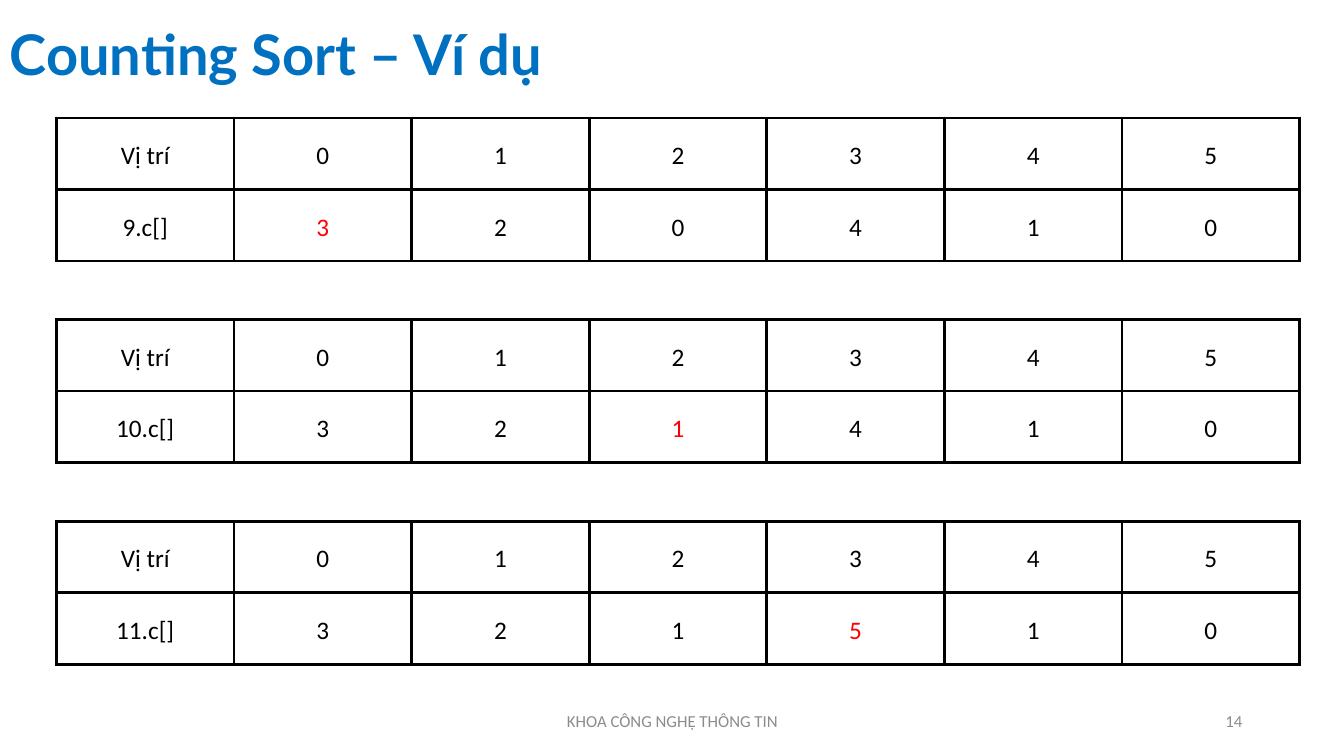
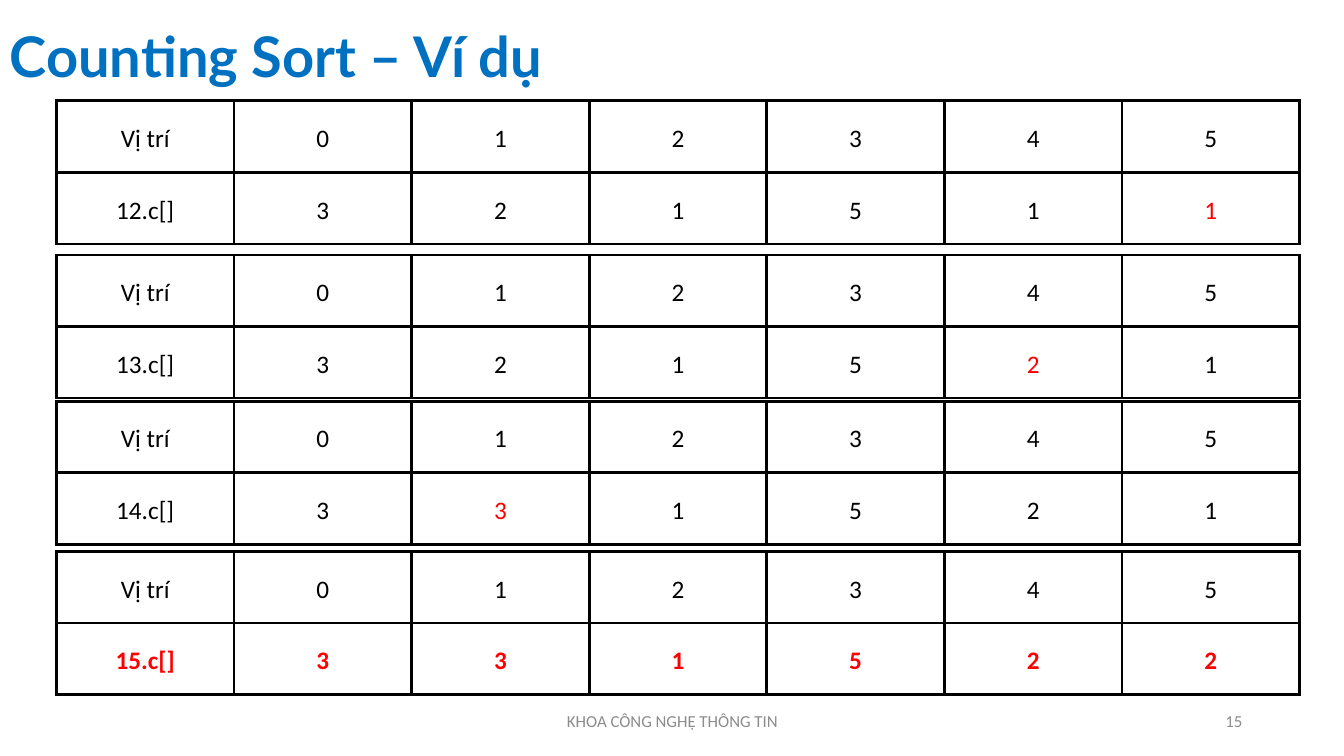
"""Build two slides of counting-sort tables."""
from lxml.etree import SubElement
from pptx import Presentation
from pptx.dml.color import RGBColor
from pptx.enum.text import MSO_ANCHOR as Anchor, PP_ALIGN as Align
from pptx.oxml.ns import qn
from pptx.util import Inches, Pt

TITLE = "Counting Sort – Ví dụ"
FOOTER = "KHOA CÔNG NGHỆ THÔNG TIN"
HEADER = ["Vị trí", *"012345"]
ALL = range(len(HEADER))

SLIDES = [
    {"number": 14, "title_height": 1.13, "tables": [
        (1.17, ["9.c[]", *"320410"], [1]),
        (3.17, ["10.c[]", *"321410"], [3]),
        (5.17, ["11.c[]", *"321510"], [4]),
    ]},
    {"number": 15, "title_height": 1.17, "tables": [
        (1.00, ["12.c[]", *"321511"], [6]),
        (2.53, ["13.c[]", *"321521"], [5]),
        (3.98, ["14.c[]", *"331521"], [2]),
        (5.47, ["15.c[]", *"331522"], ALL),
    ]},
]

BLUE, RED, BLACK, GRAY = "0070C0", "FF0000", "000000", "8C8C8C"
TABLE_LEFT, TABLE_WIDTH, ROW_HEIGHT = 0.56, 12.33, 0.71
FOOTER_TOP, FOOTER_HEIGHT = 6.95, 0.4


def style(paragraph, font_name, size, color, align, bold=False):
    paragraph.alignment = align
    font = paragraph.runs[0].font
    font.name, font.size, font.bold = font_name, Pt(size), bold
    font.color.rgb = RGBColor.from_string(color)


def add_text(slide, text, box, *look, spacing=1.0, bold=False):
    shape = slide.shapes.add_textbox(*map(Inches, box))
    frame = shape.text_frame
    frame.word_wrap = True
    frame.vertical_anchor = Anchor.MIDDLE
    frame.text = text
    frame.paragraphs[0].line_spacing = spacing
    style(frame.paragraphs[0], *look, bold=bold)


def add_borders(cell, color, width):
    properties = cell._tc.get_or_add_tcPr()
    for side in ("a:lnL", "a:lnR", "a:lnT", "a:lnB"):
        line = SubElement(properties, qn(side), w=str(Pt(width)))
        fill = SubElement(line, qn("a:solidFill"))
        SubElement(fill, qn("a:srgbClr"), val=color)


def fill_cell(cell, text, color, bold):
    cell.text = text
    cell.vertical_anchor = Anchor.MIDDLE
    cell.margin_left = cell.margin_right = Inches(0.11)
    cell.margin_top = cell.margin_bottom = Inches(0.08)
    add_borders(cell, BLACK, 2.25)
    cell.fill.background()
    paragraph = cell.text_frame.paragraphs[0]
    paragraph.line_spacing = 1.15
    paragraph.space_after = Pt(15)
    style(paragraph, "Calibri", 18, color, Align.CENTER, bold)


def add_count_table(slide, top, counts, changed):
    rows = [HEADER, counts]
    box = (TABLE_LEFT, top, TABLE_WIDTH, ROW_HEIGHT * len(rows))
    table = slide.shapes.add_table(len(rows), len(HEADER), *map(Inches, box)).table
    table.first_row = table.horz_banding = False
    for row_index, row in enumerate(rows):
        for column, text in enumerate(row):
            marked = row is counts and column in changed
            fill_cell(table.cell(row_index, column), text,
                      RED if marked else BLACK, marked and changed is ALL)


def add_frame(slide, number, title_height):
    add_text(slide, TITLE, (0, 0, 11.5, title_height),
             "Lato", 40, BLUE, Align.LEFT, spacing=0.9, bold=True)
    for text, left, width, align in ((FOOTER, 4.42, 4.5, Align.CENTER),
                                     (str(number), 9.42, 3, Align.RIGHT)):
        add_text(slide, text, (left, FOOTER_TOP, width, FOOTER_HEIGHT),
                 "Calibri", 12, GRAY, align)


def main():
    presentation = Presentation()
    presentation.slide_width = Inches(13.33)
    presentation.slide_height = Inches(7.5)
    for content in SLIDES:
        slide = presentation.slides.add_slide(presentation.slide_layouts[6])
        add_frame(slide, content["number"], content["title_height"])
        for table in content["tables"]:
            add_count_table(slide, *table)
    presentation.save("out.pptx")


if __name__ == "__main__":
    main()
